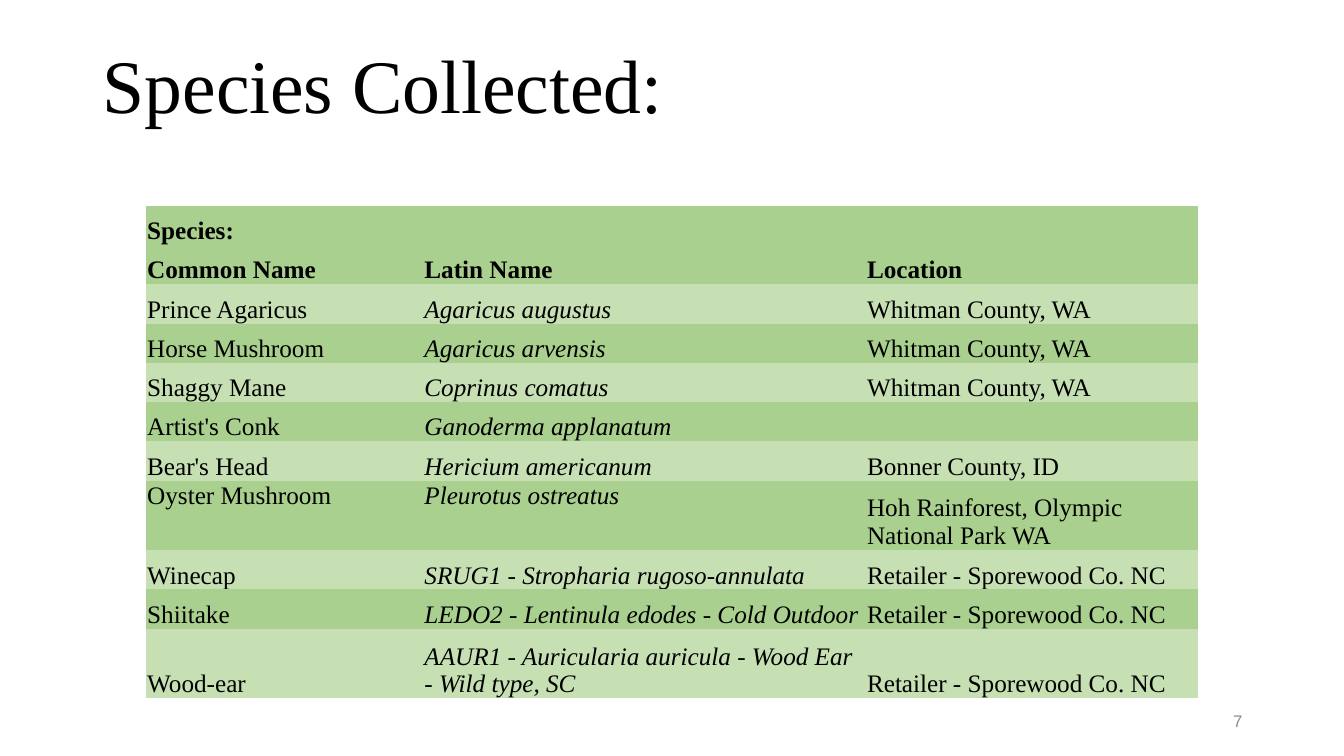
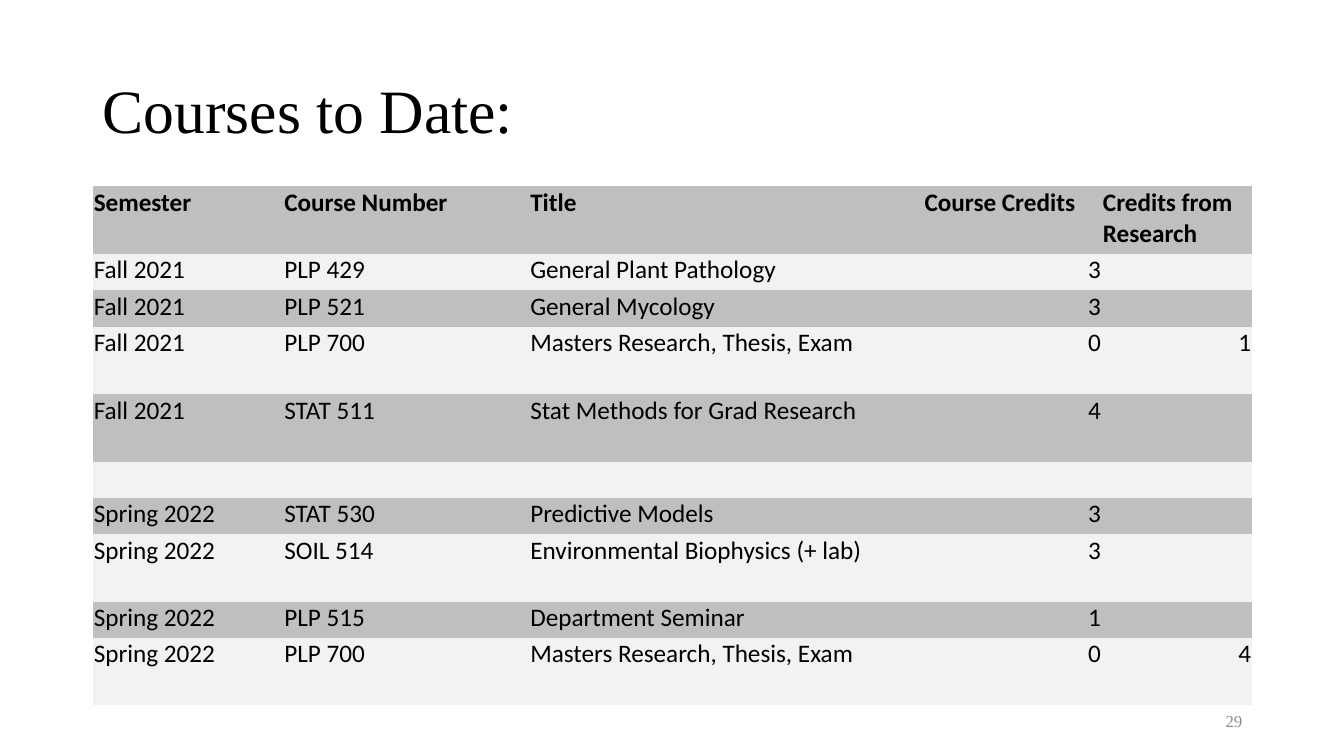
from pptx import Presentation
from pptx.dml.color import RGBColor
from pptx.enum.text import MSO_ANCHOR, PP_ALIGN
from pptx.oxml.ns import qn
from pptx.util import Inches, Pt

# Shared look
HUES = {"ink": "000000", "page": "8C8C8C",
        "leaf": "A9D08E", "mint": "C6E0B4",
        "grey": "BFBFBF", "pale": "F2F2F2"}
SERIF, SANS = "Times New Roman", "Calibri"
TOP, MID, LOW = MSO_ANCHOR.TOP, MSO_ANCHOR.MIDDLE, MSO_ANCHOR.BOTTOM
LEFT, WIDE = 0.92, 11.5
FOOT = (9.42, 6.95, 3, 0.4)
PAD = 0.01
PLAIN = "{2D5ABB26-0587-4C30-8999-92F81FD0307C}"  # no style, no grid

# Content
SHOP = "Retailer - Sporewood Co. NC"
FIELD = "Whitman County, WA"
FALL, SPRING = "Fall 2021", "Spring 2022"
THESIS = "Masters Research, Thesis, Exam"

SLIDES = [
    {
        "title": "Species Collected:", "box": (LEFT, 0.32, WIDE, 1.02),
        "size": 54, "anchor": LOW,
        "page": "7", "face": SANS and "Arial",
        "spot": (1.45, 2.04), "cols": (2.75, 4.39, 3.29),
        "short": 0.39, "tall": 0.69, "high": {7, 10},
        "heads": 2, "bands": ("mint", "leaf"), "font": SERIF,
        "hang": LOW, "slant": 1, "raised": {(7, 0), (7, 1)},
        "rows": [
            ("Species:", "", ""),
            ("Common Name", "Latin Name", "Location"),
            ("Prince Agaricus", "Agaricus augustus", FIELD),
            ("Horse Mushroom", "Agaricus arvensis", FIELD),
            ("Shaggy Mane", "Coprinus comatus", FIELD),
            ("Artist's Conk", "Ganoderma applanatum", ""),
            ("Bear's Head", "Hericium americanum", "Bonner County, ID"),
            ("Oyster Mushroom", "Pleurotus ostreatus",
             "Hoh Rainforest, Olympic National Park WA"),
            ("Winecap", "SRUG1 - Stropharia rugoso-annulata", SHOP),
            ("Shiitake", "LEDO2 - Lentinula edodes - Cold Outdoor", SHOP),
            ("Wood-ear",
             "AAUR1 - Auricularia auricula - Wood Ear - Wild type, SC", SHOP),
        ],
    },
    {
        "title": "Courses to Date:", "box": (LEFT, 0.4, WIDE, 1.45),
        "size": 44, "anchor": MID,
        "page": "29", "face": SERIF,
        "spot": (LEFT, 1.85), "cols": (1.89, 2.44, 3.91, 1.77, 1.49),
        "short": 0.36, "tall": 0.67, "high": {0, 3, 4, 7, 9},
        "heads": 1, "bands": ("pale", "grey"), "font": SANS,
        "hang": TOP, "slant": None, "raised": set(),
        "rows": [
            ("Semester", "Course Number", "Title", "Course Credits",
             "Credits from Research"),
            (FALL, "PLP 429", "General Plant Pathology", "3", ""),
            (FALL, "PLP 521", "General Mycology", "3", ""),
            (FALL, "PLP 700", THESIS, "0", "1"),
            (FALL, "STAT 511", "Stat Methods for Grad Research", "4", ""),
            ("",) * 5,
            (SPRING, "STAT 530", "Predictive Models", "3", ""),
            (SPRING, "SOIL 514", "Environmental Biophysics (+ lab)", "3", ""),
            (SPRING, "PLP 515", "Department Seminar", "1", ""),
            (SPRING, "PLP 700", THESIS, "0", "4"),
        ],
    },
]


def write(frame, text, size=18, font=SERIF, hue="ink", bold=False,
          slant=False, align=PP_ALIGN.LEFT, space=1.0):
    para = frame.paragraphs[0]
    para.alignment, para.line_spacing = align, space
    run = para.add_run()
    run.text = text
    face = run.font
    face.size, face.name = Pt(size), font
    face.bold, face.italic = bold, slant
    face.color.rgb = RGBColor.from_string(HUES[hue])


def label(slide, box, text, anchor=MID, **style):
    frame = slide.shapes.add_textbox(*map(Inches, box)).text_frame
    frame.word_wrap = True
    frame.vertical_anchor = anchor
    write(frame, text, **style)


def grid(slide, part):
    rows, cols = part["rows"], part["cols"]
    tall = [part["tall"] if r in part["high"] else part["short"]
            for r in range(len(rows))]
    size = (*part["spot"], sum(cols), sum(tall))
    table = slide.shapes.add_table(len(rows), len(cols),
                                   *map(Inches, size)).table
    table._tbl.tblPr.find(qn("a:tableStyleId")).text = PLAIN
    for col, width in zip(table.columns, cols):
        col.width = Inches(width)
    for row, height in zip(table.rows, tall):
        row.height = Inches(height)

    for r, row in enumerate(rows):
        head = r < part["heads"]
        band = part["bands"][1 if head else (r - part["heads"]) % 2]
        for c, text in enumerate(row):
            cell = table.cell(r, c)
            cell.fill.solid()
            cell.fill.fore_color.rgb = RGBColor.from_string(HUES[band])
            cell.margin_left = cell.margin_right = Inches(PAD)
            cell.margin_top, cell.margin_bottom = Inches(PAD), 0
            cell.vertical_anchor = (TOP if (r, c) in part["raised"]
                                    else part["hang"])
            if text:
                write(cell.text_frame, text, font=part["font"], bold=head,
                      slant=not head and c == part["slant"],
                      align=(PP_ALIGN.RIGHT if text.isdigit()
                             else PP_ALIGN.LEFT))


def main():
    deck = Presentation()
    deck.slide_width, deck.slide_height = Inches(13.33), Inches(7.5)
    for part in SLIDES:
        slide = deck.slides.add_slide(deck.slide_layouts[6])
        label(slide, part["box"], part["title"], anchor=part["anchor"],
              size=part["size"], space=0.9)
        label(slide, FOOT, part["page"], size=12, font=part["face"],
              hue="page", align=PP_ALIGN.RIGHT)
        grid(slide, part)
    deck.save("out.pptx")


if __name__ == "__main__":
    main()
